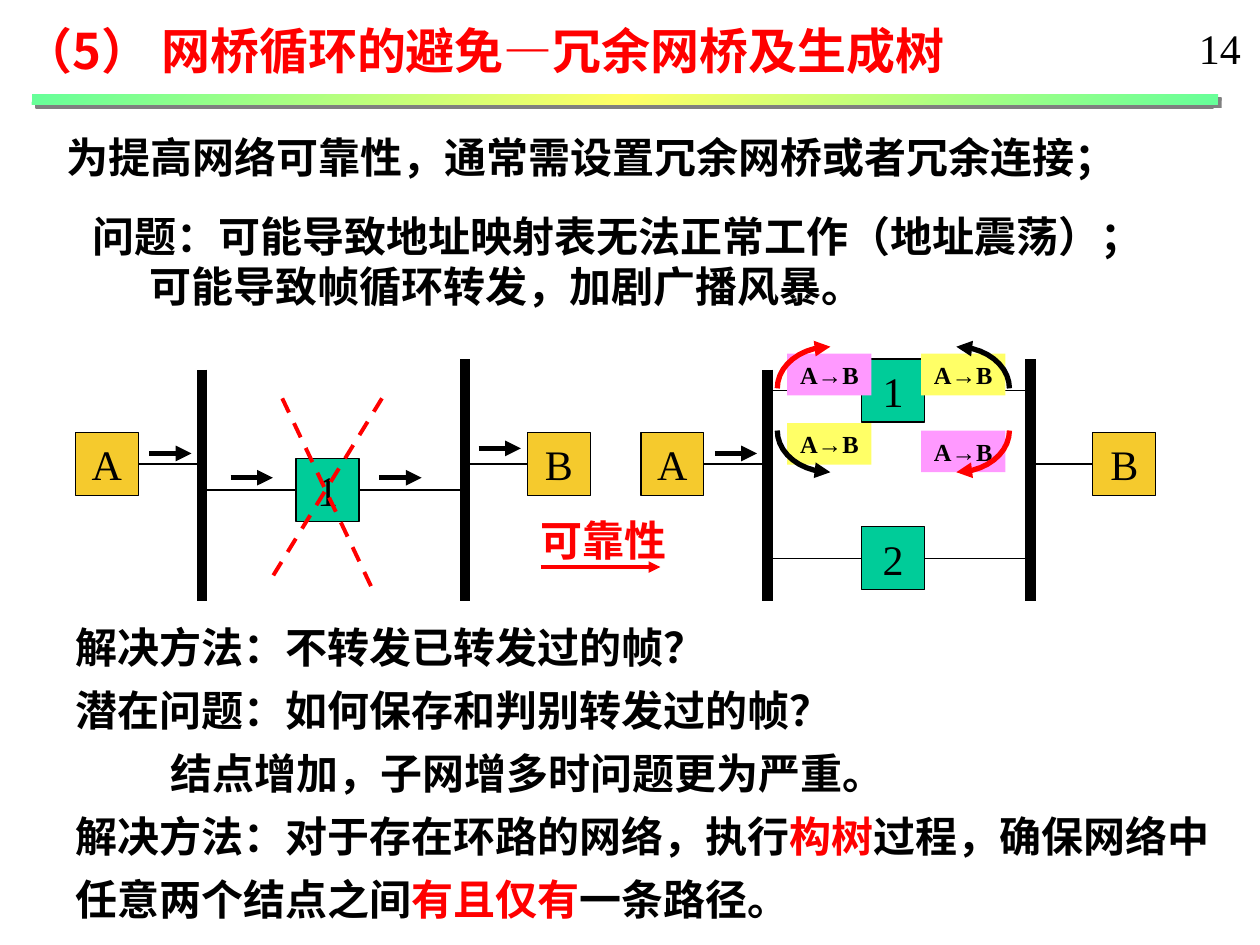
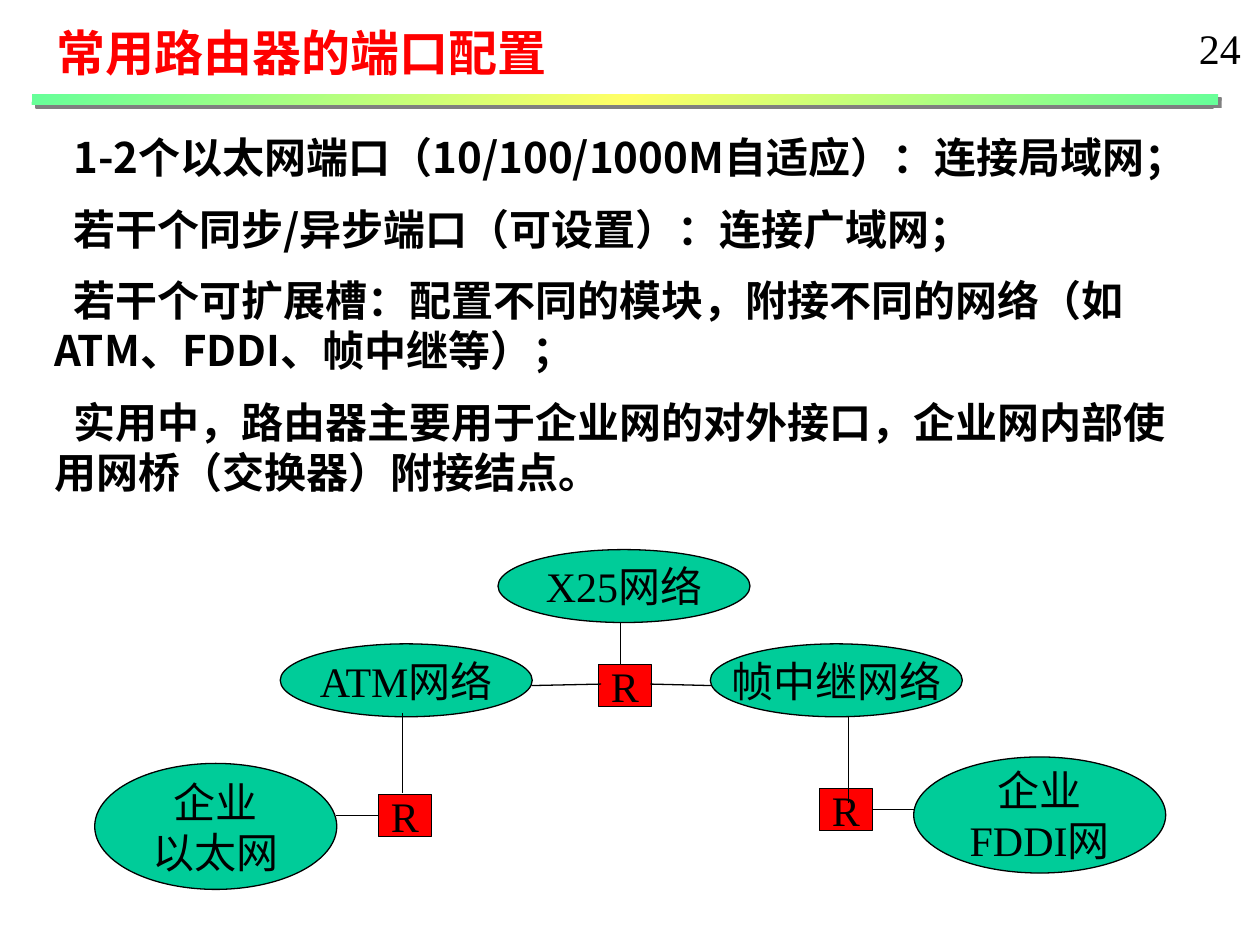
from copy import deepcopy
from dataclasses import dataclass
from math import cos, pi, sin
from typing import Iterable, Optional

from lxml.etree import SubElement
from pptx import Presentation
from pptx.dml.color import RGBColor as Rgb
from pptx.enum.dml import MSO_LINE_DASH_STYLE as Dash
from pptx.enum.shapes import MSO_CONNECTOR as Connector, MSO_SHAPE as Preset
from pptx.enum.text import MSO_ANCHOR as Anchor, MSO_AUTO_SIZE as AutoSize, PP_ALIGN as Align
from pptx.oxml.ns import qn
from pptx.util import Cm, Pt


@dataclass(frozen=True)
class Theme:
    ink: Rgb = Rgb(0, 0, 0)
    accent: Rgb = Rgb(0xFF, 0, 0)
    bridge: Rgb = Rgb(0, 0xCC, 0x99)
    host: Rgb = Rgb(0xF5, 0xCA, 0x2D)
    forward: Rgb = Rgb(0xFF, 0x99, 0xFF)
    echo: Rgb = Rgb(0xFF, 0xFF, 0x66)
    band_edge: Rgb = Rgb(0x66, 0xFF, 0x99)
    band_shadow: str = "808080"
    cjk: str = "Noto Sans CJK SC"
    serif: str = "Times New Roman"
    title: int = 28
    text: int = 24
    frame: int = 14
    wire: float = 0.75
    mark: float = 2.25
    arrow: float = 3
    bus: float = 6


T = Theme()


@dataclass(frozen=True)
class Box:
    left: float
    top: float
    width: float
    height: float

    def emu(self) -> tuple:
        return Cm(self.left), Cm(self.top), Cm(self.width), Cm(self.height)


@dataclass(frozen=True)
class Style:
    size: float = T.text
    font: str = T.serif
    color: Rgb = T.ink
    bold: bool = False
    align: Align = Align.LEFT


@dataclass(frozen=True)
class Span:
    text: str
    color: Optional[Rgb] = None
    font: Optional[str] = None


@dataclass(frozen=True)
class Para:
    spans: tuple
    margin: float = 0
    first: float = 0
    before: float = 0


@dataclass(frozen=True)
class Node:
    label: str
    box: Box
    fill: Rgb
    preset: Preset = Preset.RECTANGLE
    size: int = T.text
    bold: bool = False
    outlined: bool = True


@dataclass(frozen=True)
class Link:
    x1: float
    y1: float
    x2: float
    y2: float
    weight: float = T.wire
    color: Rgb = T.ink
    arrow: bool = False
    dashed: bool = False


@dataclass(frozen=True)
class Turn:
    x: float
    y: float
    side: int
    rise: int
    color: Rgb


BODY = Style(font=T.cjk, bold=True)
HEADING = Style(T.title, T.cjk, T.accent, True)


def para(*spans, margin: float = 0, first: float = 0, before: float = 0) -> Para:
    return Para(tuple(Span(s) if isinstance(s, str) else s for s in spans), margin, first, before)


def set_typeface(font, properties, name: str) -> None:
    font.name = name
    east_asian = SubElement(properties, qn("a:ea"))
    east_asian.set("typeface", T.cjk)


def write(frame, paras: Iterable[Para], style: Style, wrap: bool = True, anchor: Anchor = Anchor.TOP) -> None:
    frame.word_wrap = wrap
    frame.auto_size = AutoSize.NONE
    frame.vertical_anchor = anchor
    for index, item in enumerate(paras):
        paragraph = frame.paragraphs[0] if index == 0 else frame.add_paragraph()
        paragraph.alignment = style.align
        paragraph.space_before = Pt(item.before if index else 0)
        props = paragraph._p.get_or_add_pPr()
        props.set("marL", str(Cm(item.margin)))
        props.set("indent", str(Cm(item.first)))
        SubElement(props, qn("a:buNone"))
        font = paragraph.font
        font.size, font.bold = Pt(style.size), style.bold
        font.color.rgb = style.color
        set_typeface(font, props.find(qn("a:defRPr")), style.font)
        for span in item.spans:
            run = paragraph.add_run()
            run.text = span.text
            if span.color is not None:
                run.font.color.rgb = span.color
            if span.font is not None:
                set_typeface(run.font, run._r.get_or_add_rPr(), span.font)


def add_text(slide, box: Box, paras: Iterable[Para], style: Style = BODY, wrap: bool = True) -> None:
    write(slide.shapes.add_textbox(*box.emu()).text_frame, paras, style, wrap)


def fill_placeholder(holder, box: Box, paras: Iterable[Para], style: Style, anchor: Anchor = Anchor.TOP) -> None:
    holder.left, holder.top, holder.width, holder.height = box.emu()
    write(holder.text_frame, paras, style, anchor=anchor)


def add_node(slide, node: Node) -> None:
    shape = slide.shapes.add_shape(node.preset, *node.box.emu())
    shape.shadow.inherit = False
    shape.fill.solid()
    shape.fill.fore_color.rgb = node.fill
    if node.outlined:
        shape.line.color.rgb = T.ink
        shape.line.width = Pt(T.wire)
    else:
        shape.line.fill.background()
    style = Style(node.size, bold=node.bold, align=Align.CENTER)
    write(shape.text_frame, map(para, node.label.split("\n")), style, False, Anchor.MIDDLE)


def stroke(line, color: Rgb, weight: float, arrow: bool) -> None:
    line.color.rgb = color
    line.width = Pt(weight)
    if arrow:
        SubElement(line._get_or_add_ln(), qn("a:tailEnd")).set("type", "triangle")


def add_link(slide, link: Link) -> None:
    connector = slide.shapes.add_connector(
        Connector.STRAIGHT, Cm(link.x1), Cm(link.y1), Cm(link.x2), Cm(link.y2))
    if link.dashed:
        connector.line.dash_style = Dash.DASH
    stroke(connector.line, link.color, link.weight, link.arrow)
    SubElement(connector._element.spPr, qn("a:effectLst"))


def add_turn(slide, turn: Turn) -> None:
    steps = 10
    points = [(Cm(turn.x + turn.side * 1.07 * cos(pi / 2 * i / steps)),
               Cm(turn.y + turn.rise * 0.84 * sin(pi / 2 * i / steps))) for i in range(steps + 1)]
    builder = slide.shapes.build_freeform(*points[0])
    builder.add_line_segments(points[1:], close=False)
    curve = builder.convert_to_shape()
    curve.shadow.inherit = False
    curve.fill.background()
    stroke(curve.line, turn.color, T.arrow, True)


def add_band(slide) -> None:
    band = slide.shapes.add_shape(Preset.RECTANGLE, *Box(0.64, 1.9, 23.92, 0.21).emu())
    band.line.fill.background()
    band.fill.gradient()
    band.fill.gradient_angle = 315
    for stop in band.fill.gradient_stops:
        stop.color.rgb = T.echo
    stops = band._element.spPr.find(qn("a:gradFill")).find(qn("a:gsLst"))
    middle = deepcopy(stops[0])
    middle.set("pos", "50000")
    for stop in band.fill.gradient_stops:
        stop.color.rgb = T.band_edge
    stops.insert(1, middle)
    effects = SubElement(band._element.spPr, qn("a:effectLst"))
    shadow = SubElement(effects, qn("a:outerShdw"), dist=str(Pt(2.8)), dir="2700000", algn="ctr", rotWithShape="0")
    SubElement(shadow, qn("a:srgbClr"), val=T.band_shadow)


def start_slide(deck, number: str, heading: Para, heading_box: Box):
    slide = deck.slides.add_slide(deck.slide_layouts[1])
    fill_placeholder(slide.shapes.title, heading_box, [heading], HEADING)
    add_band(slide)
    add_text(slide, Box(23.92, 0.33, 1.36, 1.27), [para(number)], Style(), False)
    return slide


def add_lan(slide, origin: float, bridges: dict) -> None:
    side, host_top, bus_bottom = 1.27, 8.72, 12.11
    host_a, bus_a, bridge, bus_b, host_b = (origin + x for x in (1.52, 4.07, 5.97, 9.37, 10.63))
    middle = host_top + side / 2
    links = [Link(bus_a, 7.45, bus_a, bus_bottom, T.bus),
             Link(bus_b, 7.24, bus_b, bus_bottom, T.bus),
             Link(host_a + side, middle, bus_a, middle),
             Link(bus_b, middle, host_b, middle),
             Link(origin + 3.01, 9.14, origin + 3.86, 9.14, T.arrow, arrow=True)]
    nodes = [Node("A", Box(host_a, host_top, side, side), T.host),
             Node("B", Box(host_b, host_top, side, side), T.host)]
    for label, top in bridges.items():
        level = top + side / 2
        nodes.append(Node(label, Box(bridge, top, side, side), T.bridge))
        links += [Link(bus_a, level, bridge, level), Link(bridge + side, level, bus_b, level)]
    for node in nodes:
        add_node(slide, node)
    for link in links:
        add_link(slide, link)


def build_redundant_bridges(deck) -> None:
    heading = para("（5） 网桥循环的避免", Span("—", font=T.serif), "冗余网桥及生成树")
    slide = start_slide(deck, "14", heading, Box(0.22, 0.28, 19.69, 1.45))
    add_text(slide, Box(1.09, 2.53, 23.3, 1.27), [para("为提高网络可靠性，通常需设置冗余网桥或者冗余连接；")])
    add_text(slide, Box(1.62, 4.12, 22.07, 2.31), [
        para("问题：可能导致地址映射表无法正常工作（地址震荡）；"),
        para("可能导致帧循环转发，加剧广播风暴。", margin=1.14)])
    gap = 0.3 * T.text
    fill_placeholder(slide.placeholders[1], Box(1.27, 12.31, 23.9, 6.55), [
        para("解决方法：不转发已转发过的帧？"),
        para("潜在问题：如何保存和判别转发过的帧？", before=gap),
        para("结点增加，子网增多时问题更为严重。", margin=1.91, before=gap),
        para("解决方法：对于存在环路的网络，执行", Span("构树", T.accent), "过程，确保网络中", before=gap),
        para("任意两个结点之间", Span("有且仅有", T.accent), "一条路径。", before=gap),
    ], BODY, Anchor.MIDDLE)

    add_lan(slide, 0, {"1": 9.24})
    add_lan(slide, 11.4, {"1": 7.24, "2": 10.62})
    for x, y in ((4.65, 9.63), (7.65, 9.63), (9.65, 9.04)):
        add_link(slide, Link(x, y, x + 0.85, y, T.arrow, arrow=True))
    for x1, x2, bottom in ((5.69, 7.49, 11.84), (7.7, 5.49, 11.63)):
        add_link(slide, Link(x1, 8.03, x2, bottom, T.mark, T.accent, dashed=True))

    for left, top, fill in ((18.57, 8.68, T.forward), (15.87, 7.13, T.forward),
                            (18.57, 7.13, T.echo), (15.87, 8.53, T.echo)):
        add_node(slide, Node("A→B", Box(left, top, 1.7, 0.84), fill, size=T.frame, bold=True, outlined=False))
    for turn in (Turn(19.28, 8.68, 1, 1, T.accent), Turn(19.28, 7.83, 1, -1, T.ink),
                 Turn(16.74, 7.83, -1, -1, T.accent), Turn(16.74, 8.68, -1, 1, T.ink)):
        add_turn(slide, turn)

    add_text(slide, Box(10.64, 10.24, 3.07, 1.27), [para("可靠性")], Style(color=T.accent, bold=True), False)
    add_link(slide, Link(10.9, 11.43, 13.31, 11.43, T.mark, T.accent, arrow=True))


def build_router_ports(deck) -> None:
    slide = start_slide(deck, "24", para("常用路由器的端口配置"), Box(0.89, 0.33, 11, 1.45))
    ports = ("1-2个以太网端口（10/100/1000M自适应）：连接局域网；",
             "若干个同步/异步端口（可设置）：连接广域网；",
             "若干个可扩展槽：配置不同的模块，附接不同的网络（如ATM、FDDI、帧中继等）；",
             "实用中，路由器主要用于企业网的对外接口，企业网内部使用网桥（交换器）附接结点。")
    fill_placeholder(slide.placeholders[1], Box(0.84, 2.53, 23.02, 8.5),
                     [para(port, first=0.39, before=12) for port in ports], BODY)

    networks = (("X25网络", Box(10.04, 11.08, 5.08, 1.47)),
                ("ATM网络", Box(5.65, 12.98, 5.08, 1.47)),
                ("帧中继网络", Box(14.32, 12.98, 5.08, 1.47)),
                ("企业\n以太网", Box(1.91, 15.39, 4.88, 2.54)),
                ("企业\nFDDI网", Box(18.42, 15.26, 5.08, 2.34)))
    for label, box in networks:
        add_node(slide, Node(label, box, T.bridge, Preset.OVAL))
    for left, top in ((12.06, 13.39), (16.52, 15.9), (7.63, 16.02)):
        add_node(slide, Node("R", Box(left, top, 1.07, 0.85), T.accent))
    for ends in ((10.72, 13.82, 12.12, 13.79), (12.51, 12.55, 12.51, 13.39),
                 (13.11, 13.79, 14.33, 13.82), (6.78, 16.44, 7.62, 16.44),
                 (8.11, 14.38, 8.11, 15.98), (17.11, 14.45, 17.11, 16.18),
                 (17.58, 16.32, 18.42, 16.32)):
        add_link(slide, Link(*ends))


def main() -> None:
    deck = Presentation()
    deck.slide_width, deck.slide_height = Cm(25.4), Cm(19.05)
    build_redundant_bridges(deck)
    build_router_ports(deck)
    deck.save("out.pptx")


if __name__ == "__main__":
    main()
